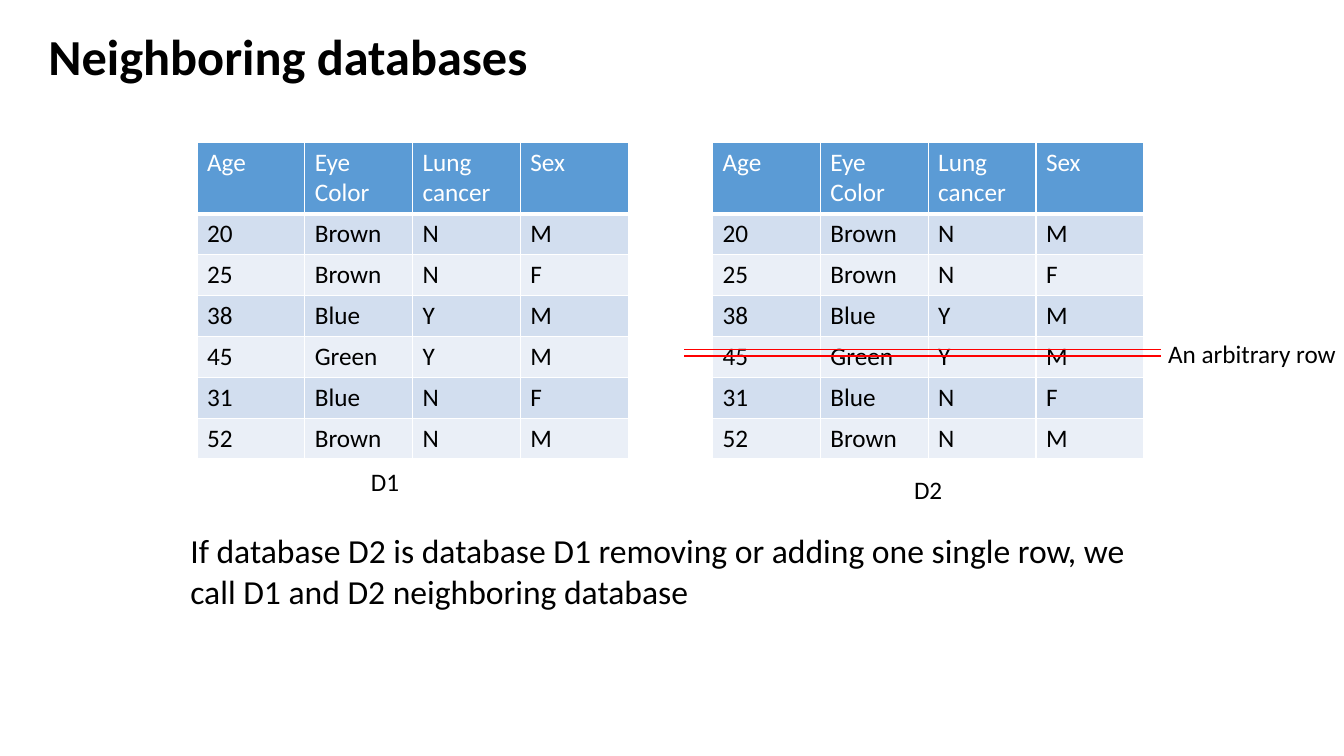
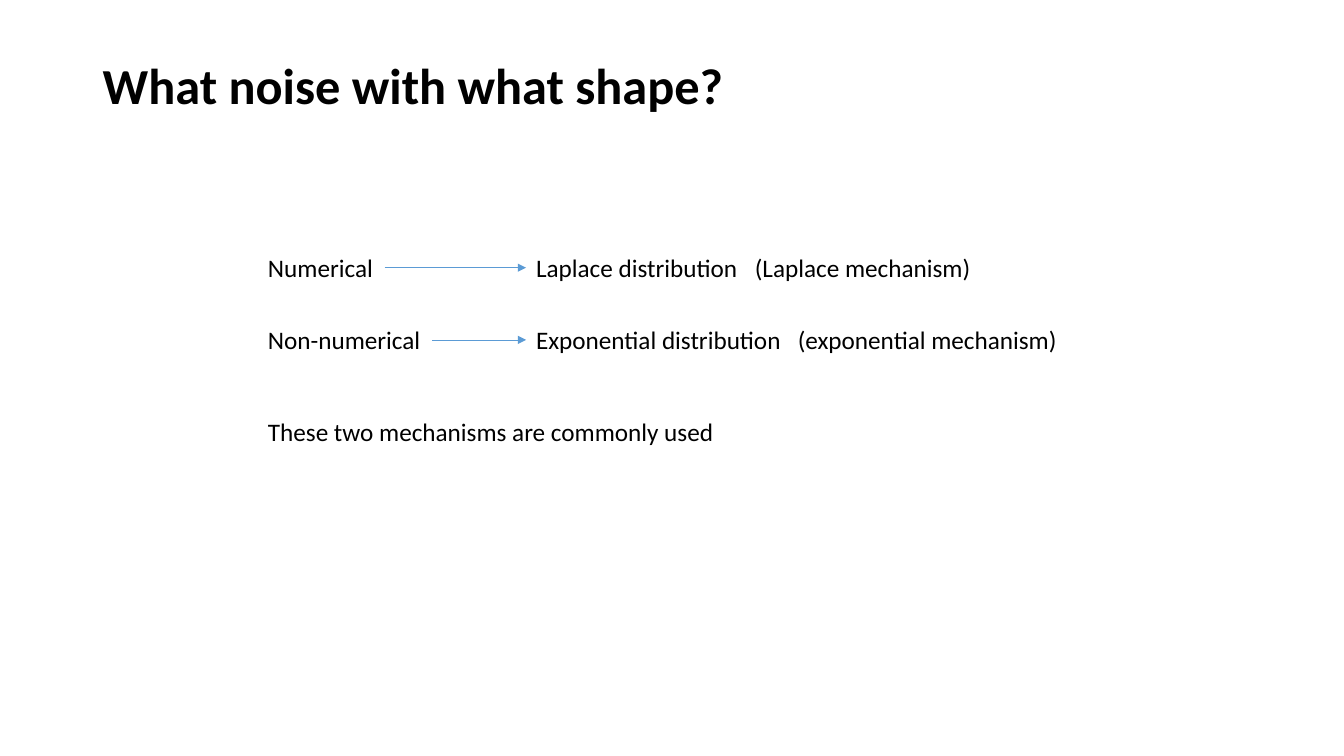
from typing import NamedTuple

import pptx
import pptx.dml.color
import pptx.enum.shapes
import pptx.enum.text
import pptx.oxml
import pptx.oxml.ns
import pptx.util
from lxml import etree

Pt = pptx.util.Pt
qn = pptx.oxml.ns.qn

FONT = "Calibri"
BLACK, WHITE, RED = "000000", "FFFFFF", "FF0000"
BLUE, BAND_DARK, BAND_LIGHT = "5B9BD5", "D2DEEF", "EAEFF7"
COLUMN_WIDTH, HEADER_HEIGHT, ROW_HEIGHT = 77, 50, 29

HEADER = ("Age", "Eye Color", "Lung cancer", "Sex")
RECORDS = (
    ("20", "Brown", "N", "M"),
    ("25", "Brown", "N", "F"),
    ("38", "Blue", "Y", "M"),
    ("45", "Green", "Y", "M"),
    ("31", "Blue", "N", "F"),
    ("52", "Brown", "N", "M"),
)


class Label(NamedTuple):
    text: str
    left: float
    top: float
    width: float
    height: float = 29
    size: float = 18
    wrap: bool = False
    tab: float = 0


class Mapping(NamedTuple):
    data_type: str
    type_width: float
    answer: str
    tab: float
    top: float


DATABASE_LABELS = (
    Label("D1", 257.8, 329.8, 35.3),
    Label("D2", 645.8, 335.5, 35.3),
    Label("If database D2 is database D1 removing or adding one single row, "
          "we call D1 and D2 neighboring database",
          128.9, 375.1, 688.3, height=94.3, size=24, wrap=True),
    Label("An arbitrary row", 827.3, 238.3, 135.4),
)
MAPPINGS = (
    Mapping("Numerical", 90.4, "Laplace distribution\t(Laplace mechanism)", 156.3, 176.4),
    Mapping("Non-numerical", 124.6, "Exponential distribution\t(exponential mechanism)",
            187, 228),
)
TYPE_LEFT, ANSWER_LEFT = 184.3, 375.8


def rgb(value: str) -> pptx.dml.color.RGBColor:
    return pptx.dml.color.RGBColor.from_string(value)


def write(frame, text: str, *, size: float = 18, color: str = BLACK,
          bold: bool = False, spacing: float = 1.0, tab: float = 0) -> None:
    paragraph = frame.paragraphs[0]
    paragraph.alignment = pptx.enum.text.PP_ALIGN.LEFT
    paragraph.line_spacing = spacing
    run = paragraph.add_run()
    run.text = text
    run.font.name, run.font.size, run.font.bold = FONT, Pt(size), bold
    run.font.color.rgb = rgb(color)
    if tab:
        stops = etree.SubElement(paragraph._p.get_or_add_pPr(), qn("a:tabLst"))
        etree.SubElement(stops, qn("a:tab"), pos=str(Pt(tab)), algn="l")


def add_titled_slide(deck, title: str, left: float, top: float):
    slide = deck.slides.add_slide(deck.slide_layouts[5])
    heading = slide.shapes.title
    heading.left, heading.top = Pt(left), Pt(top)
    heading.width, heading.height = Pt(829.4), Pt(69)
    frame = heading.text_frame
    frame.auto_size = pptx.enum.text.MSO_AUTO_SIZE.NONE
    frame.vertical_anchor = pptx.enum.text.MSO_ANCHOR.MIDDLE
    write(frame, title, size=36, bold=True, spacing=0.9)
    return slide


def add_label(slide, label: Label) -> None:
    box = slide.shapes.add_textbox(
        Pt(label.left), Pt(label.top), Pt(label.width), Pt(label.height))
    frame = box.text_frame
    frame.word_wrap = label.wrap
    frame.auto_size = pptx.enum.text.MSO_AUTO_SIZE.SHAPE_TO_FIT_TEXT
    write(frame, label.text, size=label.size, tab=label.tab)


def add_level_line(slide, start: float, end: float, y: float, *, color: str,
                   weight: float, arrow: bool = False) -> None:
    line = slide.shapes.add_connector(
        pptx.enum.shapes.MSO_CONNECTOR.STRAIGHT, Pt(start), Pt(y), Pt(end), Pt(y))
    line.line.color.rgb = rgb(color)
    line.line.width = Pt(weight)
    if arrow:
        etree.SubElement(line.line._get_or_add_ln(), qn("a:tailEnd"), type="triangle")
    etree.SubElement(line._element.spPr, qn("a:effectLst"))


def set_borders(cell, bottom: float) -> None:
    properties = cell._tc.get_or_add_tcPr()
    for position, (side, weight) in enumerate(
            (("L", 1), ("R", 1), ("T", 1), ("B", bottom))):
        border = etree.Element(qn(f"a:ln{side}"), w=str(Pt(weight)))
        fill = etree.SubElement(border, qn("a:solidFill"))
        etree.SubElement(fill, qn("a:srgbClr"), val=WHITE)
        properties.insert(position, border)


def add_database(slide, left: float, top: float) -> None:
    rows = (HEADER, *RECORDS)
    height = HEADER_HEIGHT + ROW_HEIGHT * len(RECORDS)
    database = slide.shapes.add_table(
        len(rows), len(HEADER), Pt(left), Pt(top),
        Pt(COLUMN_WIDTH * len(HEADER)), Pt(height)).table
    for column in database.columns:
        column.width = Pt(COLUMN_WIDTH)
    for r, values in enumerate(rows):
        is_header = r == 0
        database.rows[r].height = Pt(HEADER_HEIGHT if is_header else ROW_HEIGHT)
        band = BLUE if is_header else (BAND_LIGHT, BAND_DARK)[r % 2]
        for c, value in enumerate(values):
            cell = database.cell(r, c)
            cell.fill.solid()
            cell.fill.fore_color.rgb = rgb(band)
            set_borders(cell, bottom=3 if is_header else 1)
            write(cell.text_frame, value, color=WHITE if is_header else BLACK)


def build_neighbors(deck) -> None:
    slide = add_titled_slide(deck, "Neighboring databases", 27.4, 7.9)
    for left in (140.7, 509):
        add_database(slide, left, 101.5)
    # Double strike through the removed row
    for y in (249.8, 254.2):
        add_level_line(slide, 488.9, 829.4, y, color=RED, weight=1)
    for label in DATABASE_LABELS:
        add_label(slide, label)


def build_noise(deck) -> None:
    slide = add_titled_slide(deck, "What noise with what shape?", 66.2, 28.8)
    # Each data type points to its distribution
    for mapping in MAPPINGS:
        add_label(slide, Label(mapping.data_type, TYPE_LEFT, mapping.top, mapping.type_width))
        add_label(slide, Label(mapping.answer, ANSWER_LEFT, mapping.top, 400,
                               wrap=True, tab=mapping.tab))
        add_level_line(slide, TYPE_LEFT + mapping.type_width, ANSWER_LEFT,
                       mapping.top + 14.8, color=BLUE, weight=0.5, arrow=True)
    add_label(slide, Label("These two mechanisms are commonly used", TYPE_LEFT, 293.8, 336.2))


def main() -> None:
    deck = pptx.Presentation()
    deck.slide_width, deck.slide_height = Pt(960), Pt(540)
    build_neighbors(deck)
    build_noise(deck)
    deck.save("out.pptx")


if __name__ == "__main__":
    main()
